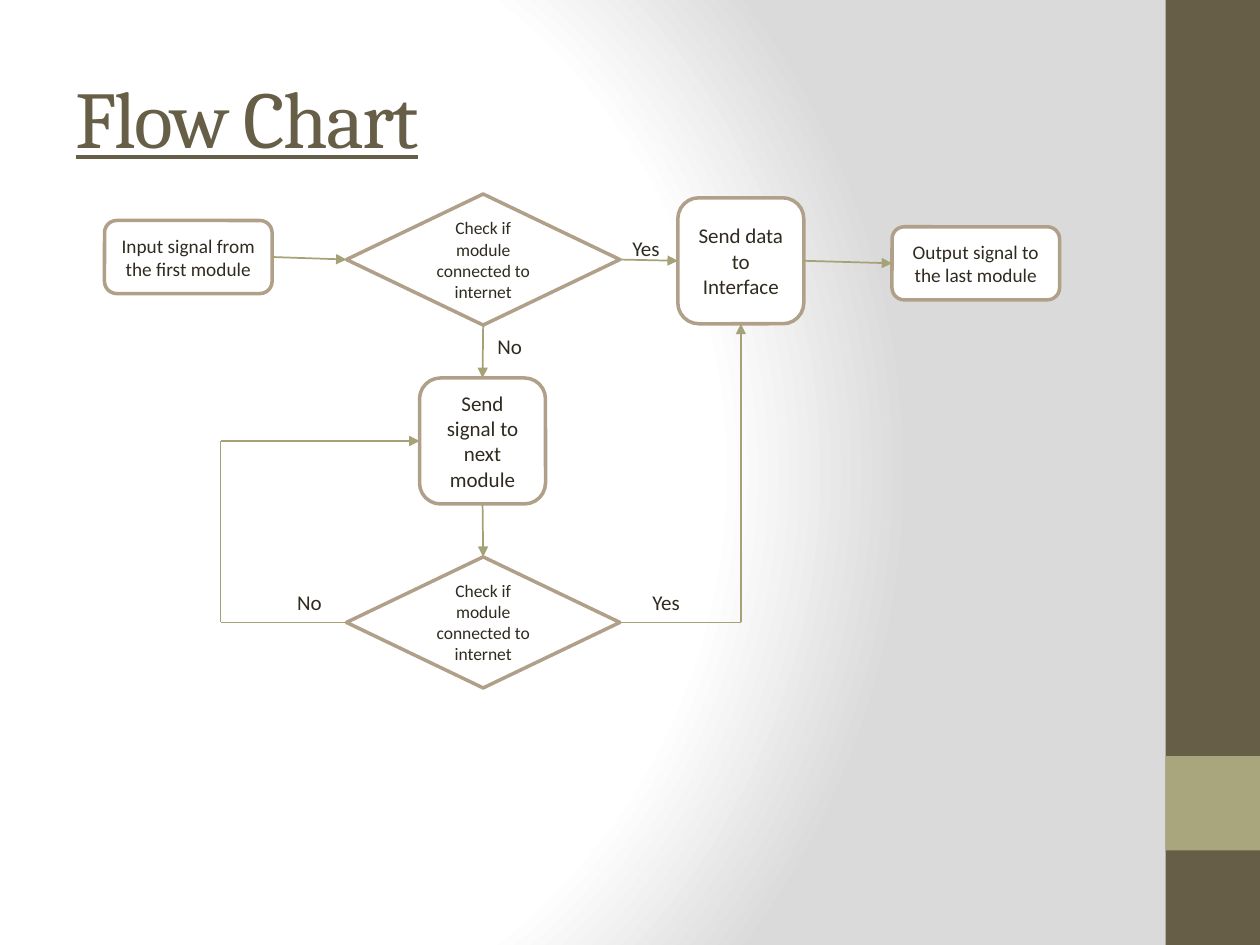
from lxml import etree
from pptx import Presentation
from pptx.dml.color import RGBColor
from pptx.enum.shapes import MSO_CONNECTOR, MSO_SHAPE
from pptx.enum.text import MSO_ANCHOR, MSO_AUTO_SIZE, PP_ALIGN
from pptx.oxml import parse_xml
from pptx.oxml.ns import nsdecls, qn
from pptx.util import Inches, Pt

WHITE = RGBColor(0xFF, 0xFF, 0xFF)
BROWN = RGBColor(0x67, 0x5E, 0x47)
OLIVE = RGBColor(0xA9, 0xA5, 0x7C)
ARROW = RGBColor(0xA6, 0xA2, 0x78)
BORDER = RGBColor(0xB1, 0xA0, 0x89)
INK = RGBColor(0x2F, 0x2B, 0x20)

# Connection sites shared by rounded rectangles and diamonds
TOP, LEFT, BOTTOM, RIGHT = range(4)


def write(frame, text, size=12, font="Calibri", color=INK, align=PP_ALIGN.LEFT,
          anchor=MSO_ANCHOR.TOP, wrap=True, underline=None, spacing=None):
    frame.word_wrap = wrap
    frame.vertical_anchor = anchor
    paragraph = frame.paragraphs[0]
    paragraph.alignment = align
    run = paragraph.add_run()
    run.text = text
    run.font.size = Pt(size)
    run.font.name = font
    run.font.color.rgb = color
    run.font.underline = underline
    if spacing is not None:
        run.font._element.set("spc", str(spacing * 100))


def paint_background(slide):
    """Fill the slide with a radial gradient, white to grey."""
    slide.background.fill.gradient()
    gradient = slide._element.find(".//" + qn("a:gradFill"))
    stops = "".join(
        f'<a:gs pos="{percent * 1000}"><a:srgbClr val="{color}"/></a:gs>'
        for percent, color in ((0, "FFFFFF"), (75, "FFFFFF"), (100, "DADADA")))
    radial = parse_xml(
        f'<a:gradFill {nsdecls("a")} rotWithShape="1"><a:gsLst>{stops}</a:gsLst>'
        '<a:path path="circle"><a:fillToRect l="20000" t="50000" r="100000" b="50000"/>'
        '</a:path></a:gradFill>')
    gradient.getparent().replace(gradient, radial)


def add_side_band(slide, left, top, width, height):
    square_top = top + height - 2 * width
    for y, band_height, color in ((top, height, BROWN), (square_top, width, OLIVE)):
        band = slide.shapes.add_shape(
            MSO_SHAPE.RECTANGLE, Inches(left), Inches(y), Inches(width), Inches(band_height))
        band.shadow.inherit = False
        band.fill.solid()
        band.fill.fore_color.rgb = color
        band.line.fill.background()


def add_title(slide, left, top, width, height):
    title = slide.shapes.title
    title.left, title.top = Inches(left), Inches(top)
    title.width, title.height = Inches(width), Inches(height)
    write(title.text_frame, "Flow Chart", size=46, font="Cambria", color=BROWN,
          anchor=MSO_ANCHOR.MIDDLE, underline=True, spacing=-1)


def add_step(slide, kind, text, size, left, top, width, height):
    step = slide.shapes.add_shape(
        kind, Inches(left), Inches(top), Inches(width), Inches(height))
    step.shadow.inherit = False
    step.fill.solid()
    step.fill.fore_color.rgb = WHITE
    step.line.color.rgb = BORDER
    step.line.width = Pt(2)
    write(step.text_frame, text, size=size, align=PP_ALIGN.CENTER, anchor=MSO_ANCHOR.MIDDLE)
    return step


def add_link(slide, start, end, arrow=True):
    """Draw a line; each end is a (step, site) pair or an (x, y) point in inches."""
    link = slide.shapes.add_connector(MSO_CONNECTOR.STRAIGHT, 0, 0, 0, 0)
    if isinstance(start[0], (int, float)):
        link.begin_x, link.begin_y = Inches(start[0]), Inches(start[1])
    else:
        link.begin_connect(*start)
    if isinstance(end[0], (int, float)):
        link.end_x, link.end_y = Inches(end[0]), Inches(end[1])
    else:
        link.end_connect(*end)
    link.line.color.rgb = ARROW
    link.line.width = Pt(1)
    if arrow:
        etree.SubElement(link.line._get_or_add_ln(), qn("a:tailEnd"), type="triangle")
    etree.SubElement(link._element.spPr, qn("a:effectLst"))


def add_answer(slide, text, left, top):
    width = 0.51 if text == "Yes" else 0.4
    answer = slide.shapes.add_textbox(Inches(left), Inches(top), Inches(width), Inches(0.3))
    write(answer.text_frame, text, wrap=text == "Yes")
    answer.text_frame.auto_size = MSO_AUTO_SIZE.SHAPE_TO_FIT_TEXT


def add_flow_chart(slide, left, top):
    """Place steps, links and answers from the chart's top left corner."""
    def step(kind, text, size, x, y, width, height):
        return add_step(slide, kind, text, size, left + x, top + y, width, height)

    def signal(text, x, y):
        return step(MSO_SHAPE.ROUNDED_RECTANGLE, text, 11, x, y, 1.33, 0.58)

    def action(text, x, y):
        return step(MSO_SHAPE.ROUNDED_RECTANGLE, text, 12, x, y, 1, 1)

    def check(y):
        return step(MSO_SHAPE.DIAMOND, "Check if module connected to internet",
                    10, 1.92, y, 2.17, 1.04)

    source = signal("Input signal from the first module", 0, 0.21)
    first_check = check(0)
    interface = action("Send data to Interface", 4.55, 0.03)
    next_module = action("Send signal to next module", 2.5, 1.46)
    second_check = check(2.88)
    output = signal("Output signal to the last module", 6.25, 0.26)

    add_link(slide, (source, RIGHT), (first_check, LEFT))
    add_link(slide, (first_check, RIGHT), (interface, LEFT))
    add_link(slide, (interface, RIGHT), (output, LEFT))
    add_link(slide, (first_check, BOTTOM), (next_module, TOP))
    add_link(slide, (next_module, BOTTOM), (second_check, TOP))

    check_y = top + 3.4
    retry_x, retry_y = left + 0.92, top + 1.96
    add_link(slide, (second_check, LEFT), (retry_x, check_y), arrow=False)
    add_link(slide, (retry_x, check_y), (retry_x, retry_y), arrow=False)
    add_link(slide, (retry_x, retry_y), (next_module, LEFT))

    success_corner = (left + 5.05, check_y)
    add_link(slide, (second_check, RIGHT), success_corner, arrow=False)
    add_link(slide, success_corner, (interface, BOTTOM))

    for text, x, y in (("Yes", 4.09, 0.28), ("Yes", 4.25, 3.09),
                       ("No", 1.43, 3.09), ("No", 3.02, 1.06)):
        add_answer(slide, text, left + x, top + y)


def main():
    presentation = Presentation()
    presentation.slide_width, presentation.slide_height = Inches(10), Inches(7.5)
    slide = presentation.slides.add_slide(presentation.slide_layouts[5])
    paint_background(slide)
    add_side_band(slide, 9.25, 0, 0.75, 7.5)
    add_title(slide, 0.5, 0.3, 8.33, 1.25)
    add_flow_chart(slide, 0.83, 1.54)
    presentation.save("out.pptx")


if __name__ == "__main__":
    main()
